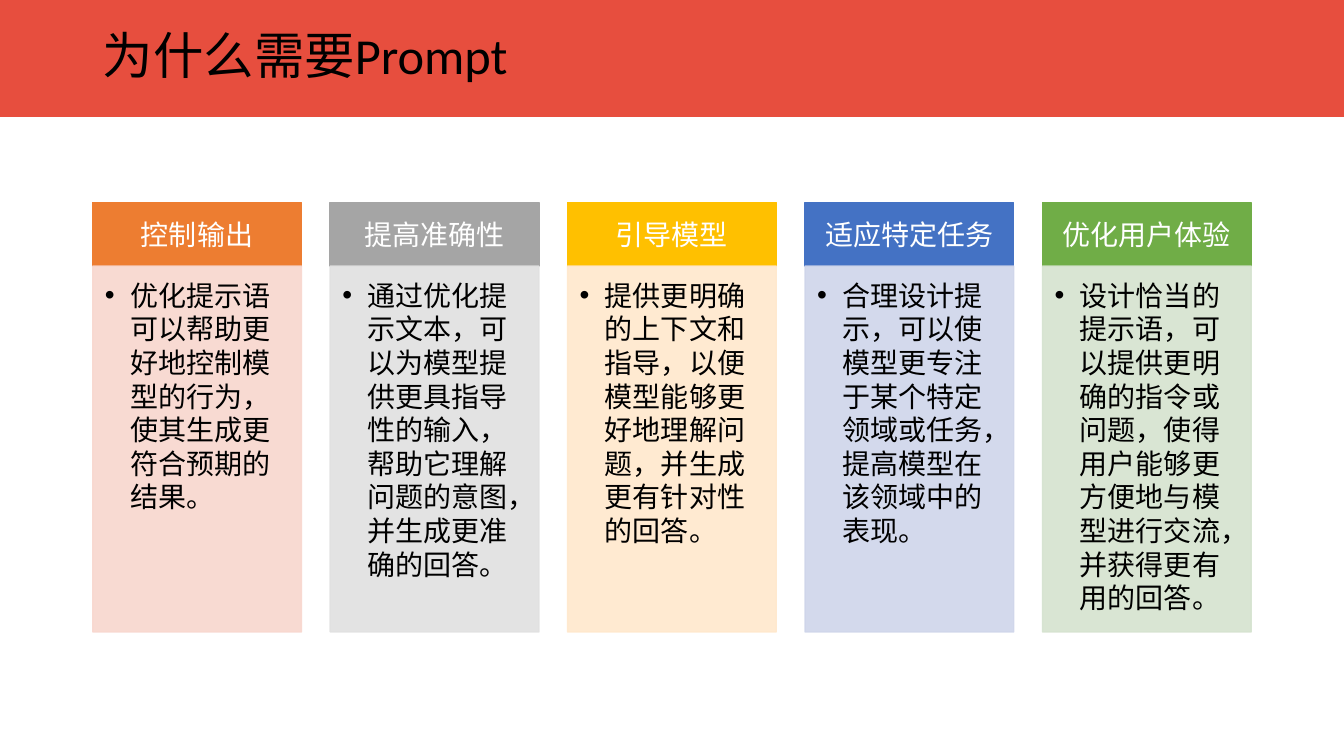
from lxml.etree import SubElement
from pptx import Presentation
from pptx.dml.color import RGBColor
from pptx.enum.shapes import MSO_SHAPE as Shape
from pptx.enum.text import MSO_ANCHOR as Anchor, MSO_AUTO_SIZE as AutoSize, PP_ALIGN as Align
from pptx.oxml.ns import qn
from pptx.util import Inches, Pt

TITLE = "为什么需要Prompt"
REASONS = [
    ("控制输出", "优化提示语可以帮助更好地控制模型的行为，使其生成更符合预期的结果。", "orange"),
    ("提高准确性", "通过优化提示文本，可以为模型提供更具指导性的输入，帮助它理解问题的意图，并生成更准确的回答。", "gray"),
    ("引导模型", "提供更明确的上下文和指导，以便模型能够更好地理解问题，并生成更有针对性的回答。", "gold"),
    ("适应特定任务", "合理设计提示，可以使模型更专注于某个特定领域或任务，提高模型在该领域中的表现。", "blue"),
    ("优化用户体验", "设计恰当的提示语，可以提供更明确的指令或问题，使得用户能够更方便地与模型进行交流，并获得更有用的回答。", "green"),
]
COLORS = {
    "band": "E74E3E", "black": "000000", "white": "FFFFFF",
    "orange": "ED7D31", "orange_tint": "F8D7CE",
    "gray": "A5A5A5", "gray_tint": "E1E1E1",
    "gold": "FFC000", "gold_tint": "FFE8CC",
    "blue": "4472C4", "blue_tint": "CFD5EA",
    "green": "70AD47", "green_tint": "D5E3CF",
}
FONT = "Calibri"
WIDTH, HEIGHT = 13.33, 7.5
MARGIN = 0.92
CARD_W = 2.07
PITCH = (WIDTH - 2 * MARGIN - CARD_W) / (len(REASONS) - 1)
HEAD_TOP, HEAD_H, BODY_H = 2.01, 0.63, 3.63


def rgb(name):
    return RGBColor.from_string(COLORS[name])


def add_box(s, box, color, opacity=100):
    sp = s.shapes.add_shape(Shape.RECTANGLE, *map(Inches, box))
    sp.shadow.inherit = False
    sp.line.width = Pt(1)
    for fill in (sp.fill, sp.line.fill):
        fill.solid()
        fill.fore_color.rgb = rgb(color)
    if opacity < 100:
        for clr in sp._element.spPr.iter(qn("a:srgbClr")):
            SubElement(clr, qn("a:alpha"), val=str(opacity * 1000))
    return sp


def write(sp, text, size, color, align, anchor, insets):
    """Fill the shape with one formatted paragraph and return it."""
    tf = sp.text_frame
    tf.word_wrap = True
    tf.auto_size = AutoSize.NONE
    tf.vertical_anchor = anchor
    tf.margin_left, tf.margin_top, tf.margin_right, tf.margin_bottom = map(Inches, insets)
    p = tf.paragraphs[0]
    p.alignment = align
    r = p.add_run()
    r.text = text
    r.font.size = Pt(size)
    r.font.name = FONT
    r.font.color.rgb = rgb(color)
    SubElement(r._r.get_or_add_rPr(), qn("a:ea"), typeface=FONT)
    return p


def add_bullet(p, indent):
    pPr = p._p.get_or_add_pPr()
    pPr.set("marL", str(Inches(indent)))
    pPr.set("indent", str(-Inches(indent)))
    SubElement(pPr, qn("a:buFont"), typeface="Arial")
    SubElement(pPr, qn("a:buChar"), char="•")


def add_title(s):
    band = add_box(s, (0, -0.01, WIDTH, 1.17), "band")
    band.line.fill.background()
    s.shapes._spTree.insert(2, band._element)
    title = s.shapes.title
    title.left, title.top, title.width, title.height = map(
        Inches, (MARGIN, 0.1, WIDTH - 2 * MARGIN, 0.96))
    p = write(title, TITLE, 36, "black", Align.LEFT, Anchor.MIDDLE, (0.1, 0.05, 0.1, 0.05))
    p.line_spacing = 0.9


def add_card(s, left, heading, detail, color):
    head = add_box(s, (left, HEAD_TOP, CARD_W, HEAD_H), color)
    write(head, heading, 20, "white", Align.CENTER, Anchor.MIDDLE, (0.16, 0.09, 0.16, 0.09))
    body = add_box(s, (left, HEAD_TOP + HEAD_H, CARD_W, BODY_H), color + "_tint", 90)
    p = write(body, detail, 20, "black", Align.LEFT, Anchor.TOP, (0.12, 0.12, 0.16, 0.17))
    add_bullet(p, 0.25)


def main():
    prs = Presentation()
    prs.slide_width, prs.slide_height = Inches(WIDTH), Inches(HEIGHT)
    s = prs.slides.add_slide(prs.slide_layouts[5])
    add_title(s)
    for i, reason in enumerate(REASONS):
        add_card(s, MARGIN + i * PITCH, *reason)
    prs.save("out.pptx")


if __name__ == "__main__":
    main()
